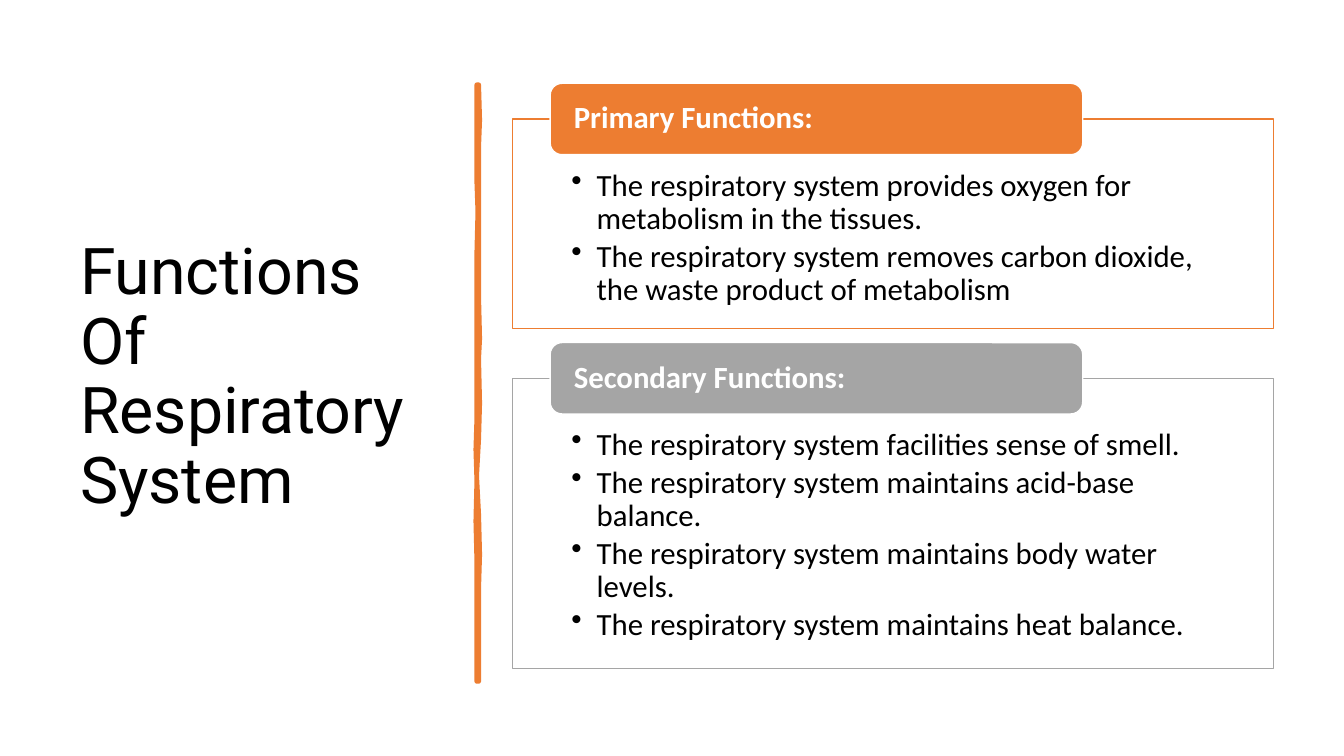
import pptx
import pptx.dml.color
import pptx.enum.shapes
import pptx.enum.text
import pptx.oxml
import pptx.oxml.ns
import pptx.util

Pt = pptx.util.Pt
ORANGE = pptx.dml.color.RGBColor(0xED, 0x7D, 0x31)
GRAY = pptx.dml.color.RGBColor(0xA5, 0xA5, 0xA5)
WHITE = pptx.dml.color.RGBColor(0xFF, 0xFF, 0xFF)
BLACK = pptx.dml.color.RGBColor(0, 0, 0)
MIDDLE = pptx.enum.text.MSO_ANCHOR.MIDDLE
TOP = pptx.enum.text.MSO_ANCHOR.TOP


def write(shape, lines, size=22, font="Calibri", color=BLACK, bold=False,
          bullet=False, space_after=0, anchor=MIDDLE, insets=(7.2, 3.6, 7.2, 3.6)):
    """Fill a shape with one paragraph per line; insets run left, top, right, bottom."""
    frame = shape.text_frame
    frame.word_wrap = True
    frame.auto_size = pptx.enum.text.MSO_AUTO_SIZE.NONE
    frame.vertical_anchor = anchor
    frame.margin_left, frame.margin_top, frame.margin_right, frame.margin_bottom = map(Pt, insets)
    frame.text = "\n".join(lines)
    for paragraph in frame.paragraphs:
        paragraph.alignment = pptx.enum.text.PP_ALIGN.LEFT
        paragraph.line_spacing = 0.9
        paragraph.space_after = Pt(space_after)
        if bullet:
            properties = paragraph._p.get_or_add_pPr()
            properties.set("marL", str(Pt(18)))
            properties.set("indent", str(Pt(-18)))
            mark = pptx.oxml.parse_xml(
                f'<a:buChar {pptx.oxml.ns.nsdecls("a")} char="•"/>')
            properties.append(mark)
        for run in paragraph.runs:
            run.font.size = Pt(size)
            run.font.name = font
            run.font.bold = bold
            run.font.color.rgb = color


def paint(shape, fill, line, width):
    shape.shadow.inherit = False
    shape.fill.solid()
    shape.fill.fore_color.rgb = fill
    shape.line.color.rgb = line
    shape.line.width = Pt(width)


presentation = pptx.Presentation()
presentation.slide_width = Pt(960)
presentation.slide_height = Pt(540)
slide = presentation.slides.add_slide(presentation.slide_layouts[5])

title = slide.shapes.title
title.left, title.top, title.width, title.height = Pt(50), Pt(50), Pt(269), Pt(440)
write(title, ["Functions Of Respiratory System"], size=46, font="Roboto")

# Hand-drawn divider, in hundredths of an inch
divider_outline = [
    (475, 84), (476, 119), (475, 146), (475, 186), (475, 226), (475, 294),
    (476, 336), (475, 356), (476, 400), (475, 436), (473, 472), (475, 510),
    (476, 550), (475, 584), (475, 627), (475, 676), (473, 676), (473, 613),
    (473, 557), (472, 517), (473, 477), (472, 446), (473, 415), (473, 335),
    (473, 250), (474, 210), (473, 181), (473, 133), (473, 84),
]
builder = slide.shapes.build_freeform(*divider_outline[0], scale=Pt(0.72))
builder.add_line_segments(divider_outline[1:], close=True)
paint(builder.convert_to_shape(), ORANGE, ORANGE, 3.25)

function_groups = [
    ("Primary Functions:", ORANGE, 85, 149.8, [
        "The respiratory system provides oxygen for metabolism in the\u00a0tissues.",
        "The respiratory system removes carbon dioxide, the waste product\u00a0of metabolism"]),
    ("Secondary Functions:", GRAY, 270.2, 207.4, [
        "The respiratory system facilities sense of smell.",
        "The respiratory system maintains acid-base balance.",
        "The respiratory system maintains body water levels.",
        "The respiratory system maintains heat balance."]),
]
for heading, accent, top, height, functions in function_groups:
    panel = slide.shapes.add_shape(
        pptx.enum.shapes.MSO_SHAPE.RECTANGLE, Pt(366), Pt(top), Pt(543.5), Pt(height))
    paint(panel, WHITE, accent, 1)
    write(panel, functions, bullet=True, space_after=3.3, anchor=TOP,
          insets=(42.2, 36, 42.2, 12.3))

    label = slide.shapes.add_shape(
        pptx.enum.shapes.MSO_SHAPE.ROUNDED_RECTANGLE,
        Pt(393), Pt(top - 25.5), Pt(380.4), Pt(51))
    paint(label, accent, WHITE, 1)
    write(label, [heading], color=WHITE, bold=True, insets=(14.4, 0, 14.4, 0))

presentation.save("out.pptx")
